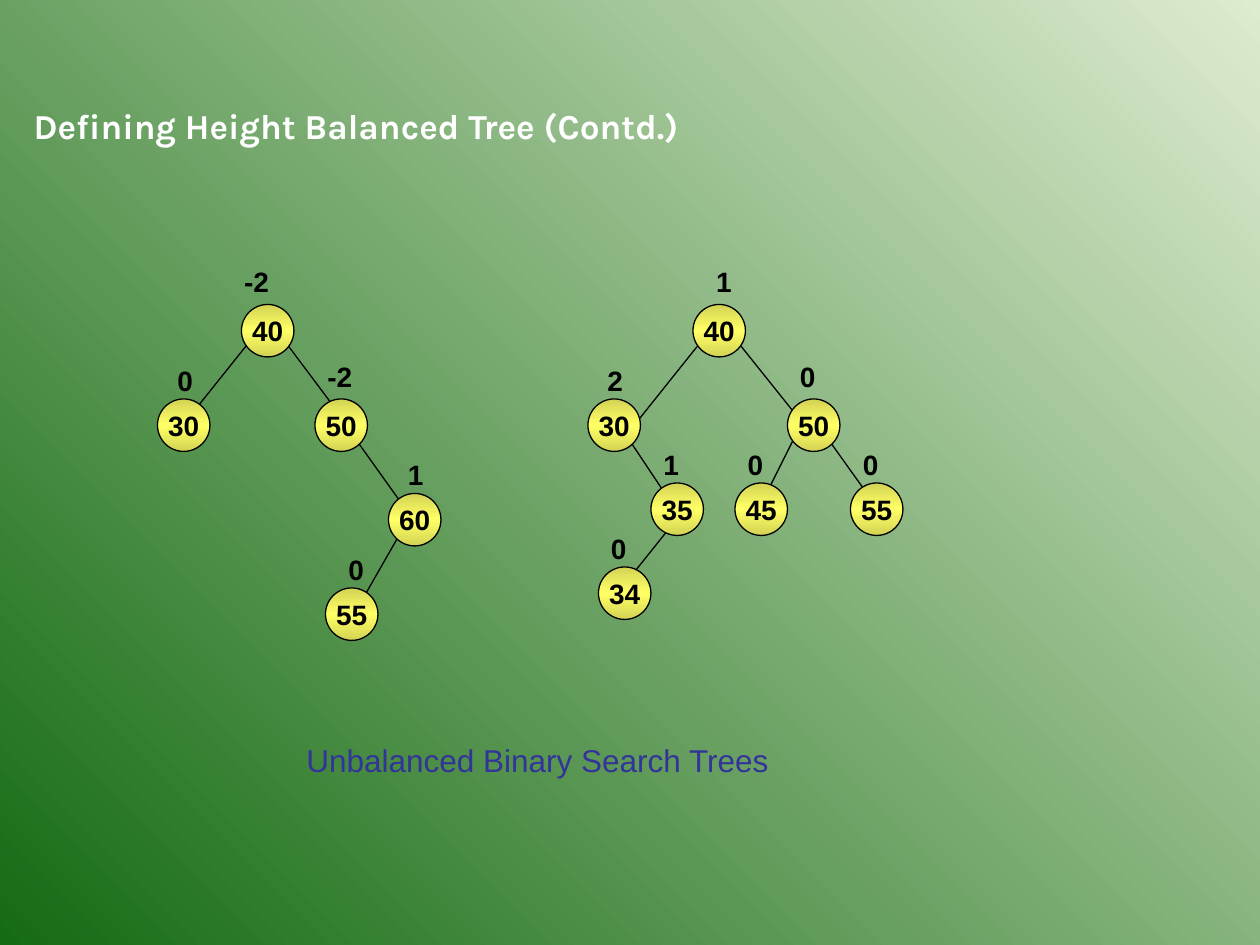
"""Build a slide showing two unbalanced binary search trees with balance factors."""
from copy import deepcopy

from pptx import Presentation
from pptx.dml.color import RGBColor
from pptx.enum import shapes, text
from pptx.oxml import ns, xmlchemy
from pptx.util import Pt

TITLE = "Defining Height Balanced Tree (Contd.)"
CAPTION = "Unbalanced Binary Search Trees"
COLORS = {
    "pale": "DDEBCF", "green": "156B13", "shade": "D3D354", "yellow": "FFFF66",
    "ink": "000000", "title": "FFFFFF", "caption": "333399",
}
NODES = [
    ("40", 138, 174, "-2", -5.5, 26.4),
    ("30", 90, 228, "0", 4.3, 24),
    ("50", 180, 228, "-2", 0, 26.2),
    ("60", 222, 282, "1", 4, 24),
    ("55", 186, 336, "0", 6, 24),
    ("40", 396, 174, "1", 6.2, 26.4),
    ("30", 336, 228, "2", 4, 24),
    ("50", 450, 228, "0", 0, 26.2),
    ("35", 372, 276, "1", 0, 24),
    ("45", 420, 276, "0", 0.2, 24),
    ("55", 486, 276, "0", 0, 24),
    ("34", 342, 324, "0", 0, 24),
]
EDGES = [
    (150, 186, 102, 246), (156, 186, 192, 234), (204, 252, 234, 294), (228, 306, 204, 348),
    (408, 186, 360, 246), (414, 186, 462, 246), (360, 252, 384, 288), (384, 300, 360, 330),
    (456, 246, 438, 282), (474, 252, 504, 294),
]
DIAMETER = 30
LABEL_HEIGHT = 26.6
LABEL_WIDTHS = {1: 23.4, 2: 29.2}


def color(name):
    return RGBColor.from_string(COLORS[name])


def paint_gradient(fill, element, names, angle):
    fill.gradient()
    fill.gradient_angle = angle
    stop_list = element.find(".//" + ns.qn("a:gsLst"))
    while len(stop_list) < len(names):
        stop_list.append(deepcopy(stop_list[0]))
    for index, (stop, name) in enumerate(zip(fill.gradient_stops, names)):
        stop.position = index / (len(names) - 1)
        stop.color.rgb = color(name)


def write(shape, words, size, ink, font="Arial", bold=True, align=text.PP_ALIGN.LEFT,
          anchor=text.MSO_ANCHOR.TOP, wrap=False, fit=text.MSO_AUTO_SIZE.NONE):
    frame = shape.text_frame
    frame.word_wrap, frame.auto_size, frame.vertical_anchor = wrap, fit, anchor
    para = frame.paragraphs[0]
    para.alignment = align
    span = para.add_run()
    span.text = words
    span.font.name, span.font.size, span.font.bold = font, Pt(size), bold
    span.font.color.rgb = color(ink)


def add_text(page, left, top, width, height, words, size, ink, **style):
    box = page.shapes.add_textbox(Pt(left), Pt(top), Pt(width), Pt(height))
    write(box, words, size, ink, fit=text.MSO_AUTO_SIZE.SHAPE_TO_FIT_TEXT, **style)


def add_edge(page, ends):
    edge = page.shapes.add_connector(shapes.MSO_CONNECTOR.STRAIGHT, *map(Pt, ends))
    edge.line.color.rgb = color("ink")
    edge.line.width = Pt(0.75)
    edge._element.spPr.append(xmlchemy.OxmlElement("a:effectLst"))


def add_node(page, key, left, top, balance, right, up):
    node = page.shapes.add_shape(
        shapes.MSO_SHAPE.OVAL, Pt(left), Pt(top), Pt(DIAMETER), Pt(DIAMETER))
    node.shadow.inherit = False
    paint_gradient(node.fill, node._element, ("shade", "yellow", "shade"), 270)
    node.line.color.rgb = color("ink")
    node.line.width = Pt(0.75)
    write(node, key, 16, "ink", align=text.PP_ALIGN.CENTER, anchor=text.MSO_ANCHOR.MIDDLE)
    add_text(page, left + right, top - up, LABEL_WIDTHS[len(balance)], LABEL_HEIGHT,
             balance, 16, "ink")


def main():
    deck = Presentation()
    deck.slide_width, deck.slide_height = Pt(720), Pt(540)
    page = deck.slides.add_slide(deck.slide_layouts[5])
    paint_gradient(page.background.fill, page._element, ("pale", "green"), 225)

    title = page.shapes.title
    title.left, title.top, title.width, title.height = map(Pt, (12, 56.2, 708, 31.7))
    write(title, TITLE, 20, "title", font="Karla", wrap=True)

    for ends in EDGES:
        add_edge(page, ends)
    for node in NODES:
        add_node(page, *node)
    add_text(page, 168, 420, 390, 29, CAPTION, 18, "caption", bold=False, wrap=True)
    deck.save("out.pptx")


if __name__ == "__main__":
    main()
